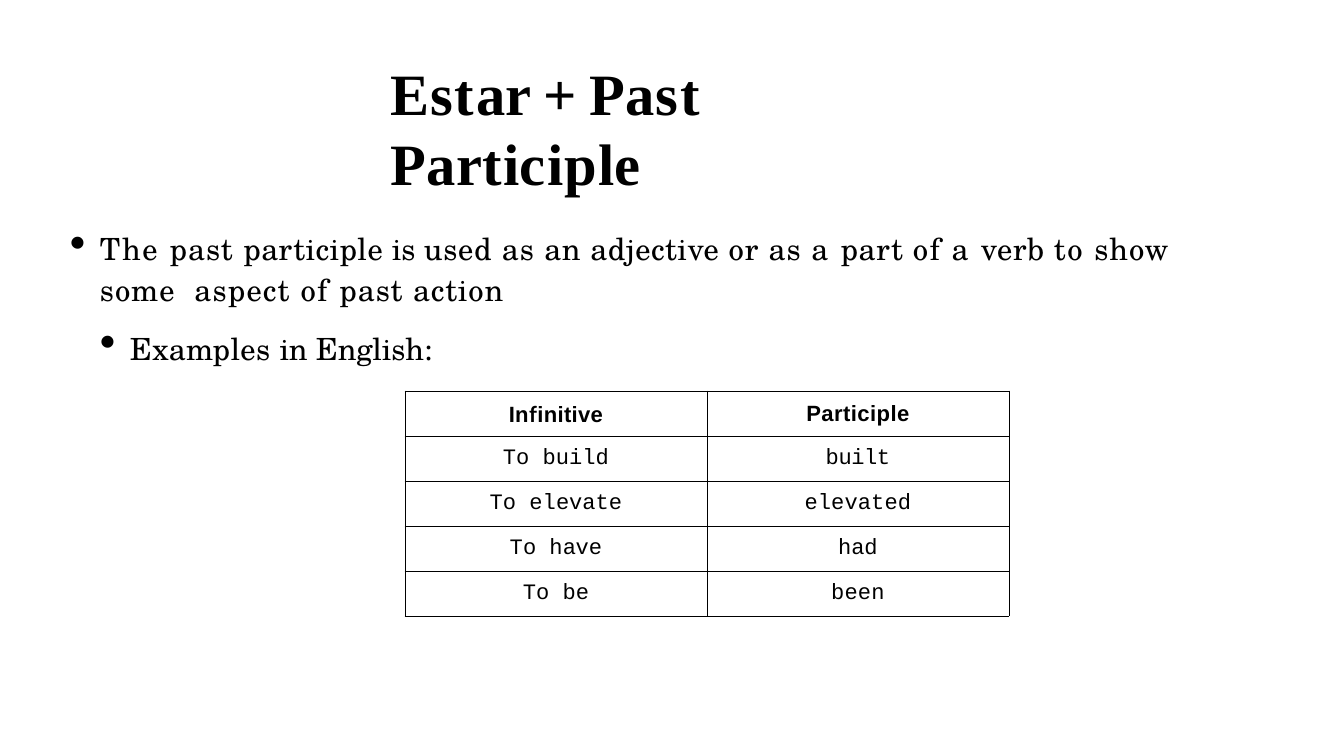
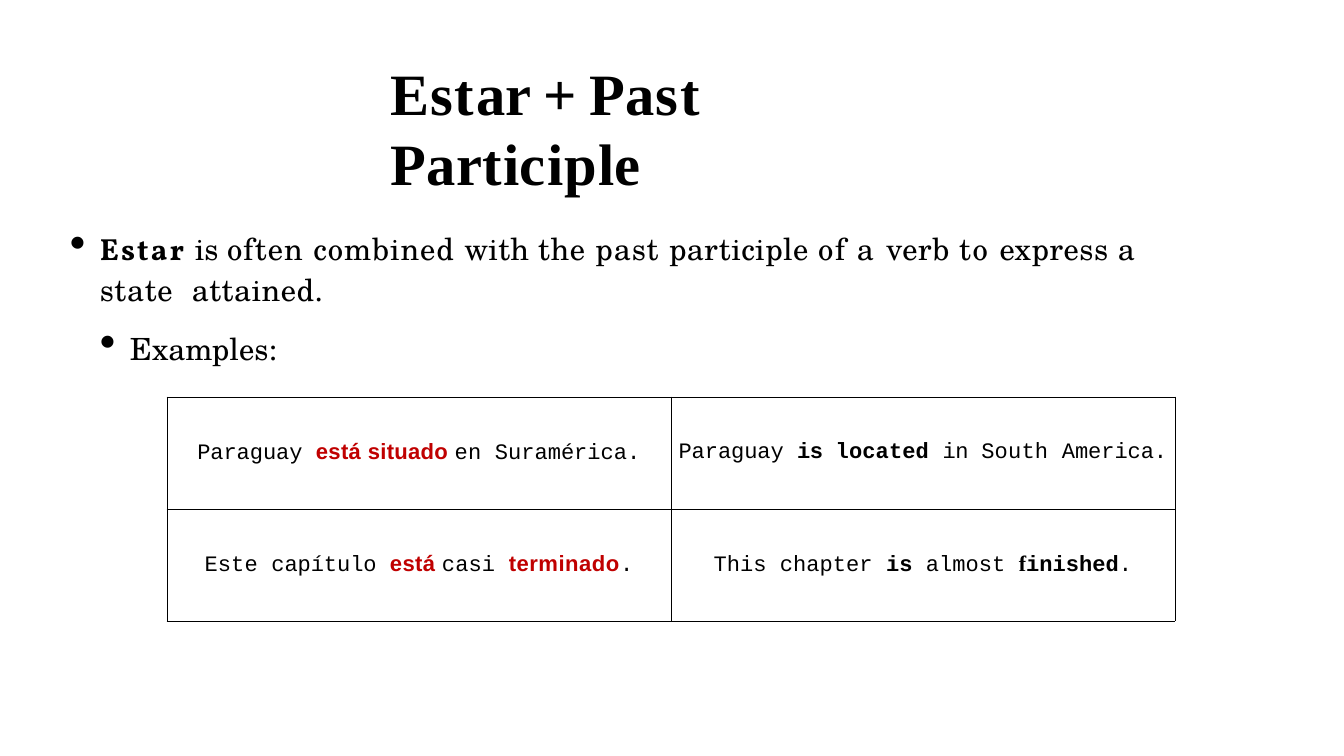
from pptx import Presentation
from pptx.enum.text import MSO_ANCHOR as ANCHOR, MSO_AUTO_SIZE as AUTO, PP_ALIGN as ALIGN
from pptx.dml.color import RGBColor as RGB
from pptx.oxml.ns import qn
from pptx.util import Pt
from lxml.etree import SubElement, Element

PX = 914400 / 61.1
COLORS = {"ink": "000000", "accent": "C00000", "paper": "FFFFFF"}
STYLES = {
    "title": ("Times New Roman", 69, True, "ink"),
    "body": ("TeX Gyre Schola", 36, False, "ink"),
    "term": ("Vollkorn", 36, True, "ink"),
    "head": ("Arial", 26, True, "ink"),
    "head_f": ("Lato", 26, True, "ink"),
    "cell": ("Courier New", 26, False, "ink"),
    "bold": ("Courier New", 26, True, "ink"),
    "bold_f": ("Times New Roman", 26, True, "ink"),
    "spanish": ("Arial", 26, True, "accent"),
}
TITLE = [("E", 0.2), ("s", 2.1), ("t", 2), ("a", 0.5), ("r ", -1.8), ("+ ", -2.5),
         ("P", -0.7), ("a", 1.5), ("s", 2.1), ("t ", 3.1), ("P", -0.7), ("a", 0.5),
         ("r", -2.1), ("t", 1.4), ("i", -0.5), ("c", 3), ("i", -0.1), ("p", 2),
         ("l", -0.9), ("e", 4.8)]

participle_slide = {
    "body_width": 1110,
    "point": [("The ", 2), ("past ", 1.2), ("participle", 0.5), (" is ", -0.1),
              ("used ", 0.9), ("as ", 1.1), ("an ", 0.7), ("adjective ", 0.6),
              ("or as ", 1.1), ("a ", 2.2), ("part ", 0.8), ("of ", 1.9), ("a ", 2.2),
              ("verb ", 0.7), ("to ", 1.8), ("show ", 1.2), ("some  ", 1.1),
              ("aspect ", 1.4), ("of ", 1.9), ("past ", 1.2), ("action", 1)],
    "examples": [("Examples ", 0.4), ("in ", -0.3), ("English:", -0.1)],
    "grid": (405, 391, 302, 45),
    "rows": [
        [[("In", 0.4, "head"), ("f", 0.4, "head_f"), ("initive", 0.4, "head")],
         [("Participle", 0.5, "head")]],
        [[("T", -2), ("o build", 0)], [("built", -0.5)]],
        [[("T", -2), ("o el", 0), ("ev", -0.1), ("ate", 0)], [("elevated", 0.1)]],
        [[("T", -2), ("o h", 0), ("av", -0.4), ("e", 0)], [("had", -0.1)]],
        [[("T", -2), ("o be", 0)], [("been", 0.2)]],
    ],
}
estar_slide = {
    "body_width": 1083,
    "point": [("Estar ", 2.6, "term"), ("is ", -0.1), ("often ", 1.2), ("combined ", 1.1),
              ("with ", 0.3), ("the ", 0.9), ("past ", 1.2), ("participle ", 0.5),
              ("of ", 1.9), ("a ", 2.2), ("verb ", 0.7), ("to ", 1.8), ("express ", 0.6),
              ("a ", 2.2), ("state  ", 0.8), ("attained.", 0.6)],
    "examples": [("Examples:", 0.1)],
    "grid": (167, 397, 504, 112),
    "rows": [
        [[("Paraguay ", -0.1), ("está ", 0.4, "spanish"), ("situado ", 0.3, "spanish"),
          ("en ", 0.1), ("Suramérica.", 0)],
         [("Paraguay ", -0.1), ("is ", -0.7, "bold"), ("located ", 0.1, "bold"),
          ("in ", -0.6), ("South ", 0.2), ("America.", -0.1)]],
        [[("Este ", 0.1), ("capítulo ", -0.1), ("está ", 0.4, "spanish"), ("casi ", 0.1),
          ("terminado", 0.6, "spanish"), (".", 0.6)],
         [("This chapter ", 0), ("is ", 0, "bold"), ("almost ", 0), ("f", 0, "bold_f"),
          ("inished", 0, "bold"), (".", 0)]],
    ],
}


def add_runs(p, runs, default):
    for text, spacing, *style in runs:
        name, size, bold, color = STYLES[style[0] if style else default]
        r = p.add_run()
        r.text = text
        r.font.name, r.font.size, r.font.bold = name, Pt(size), bold
        r.font.color.rgb = RGB.from_string(COLORS[color])
        r._r.get_or_add_rPr().set("spc", str(round(spacing * 100)))


def add_text_frame(s, *box):
    tf = s.shapes.add_textbox(*[round(v * PX) for v in box]).text_frame
    tf.margin_left = tf.margin_top = tf.margin_right = tf.margin_bottom = 0
    tf.word_wrap = True
    tf.auto_size = AUTO.SHAPE_TO_FIT_TEXT
    return tf


prs = Presentation()
prs.slide_width, prs.slide_height = round(1344 * PX), round(756 * PX)

for content in (participle_slide, estar_slide):
    s = prs.slides.add_slide(prs.slide_layouts[6])
    s.background.fill.solid()
    s.background.fill.fore_color.rgb = RGB.from_string(COLORS["paper"])

    tf = add_text_frame(s, 391, 56, 562, 72)
    tf.margin_top = round(PX)
    p = tf.paragraphs[0]
    p.space_before = Pt(1.2)
    add_runs(p, TITLE, "title")

    tf = add_text_frame(s, 69, 224, content["body_width"], 147)
    tf.margin_top = round(PX)
    point, examples = tf.paragraphs[0], tf.add_paragraph()
    point.line_spacing = 1.13
    point.space_before, examples.space_before = Pt(0.9), Pt(25.6)
    examples.level = 1
    for p, key, indent in ((point, "point", 31), (examples, "examples", 61)):
        pPr = p._p.get_or_add_pPr()
        pPr.set("marL", str(round(indent * PX)))
        pPr.set("indent", str(round(-30 * PX)))
        SubElement(pPr, qn("a:buSzPct"), val="151000")
        SubElement(pPr, qn("a:buChar"), char="•")
        add_runs(p, content[key], "body")

    left, top, col_width, row_height = [round(v * PX) for v in content["grid"]]
    rows = content["rows"]
    table = s.shapes.add_table(len(rows), 2, left, top, 2 * col_width,
                               len(rows) * row_height).table
    table.first_row = table.horz_banding = False
    for i, row in enumerate(rows):
        for j, runs in enumerate(row):
            cell = table.cell(i, j)
            cell.margin_left = cell.margin_top = cell.margin_right = cell.margin_bottom = 0
            cell.vertical_anchor = ANCHOR.MIDDLE
            cell.fill.background()
            tcPr = cell._tc.get_or_add_tcPr()
            for k, side in enumerate(("lnL", "lnR", "lnT", "lnB")):
                line = Element(qn("a:" + side), w=str(Pt(1)))
                fill = SubElement(line, qn("a:solidFill"))
                SubElement(fill, qn("a:srgbClr"), val=COLORS["ink"])
                tcPr.insert(k, line)
            p = cell.text_frame.paragraphs[0]
            p.alignment = ALIGN.CENTER
            add_runs(p, runs, "cell")

prs.save("out.pptx")
